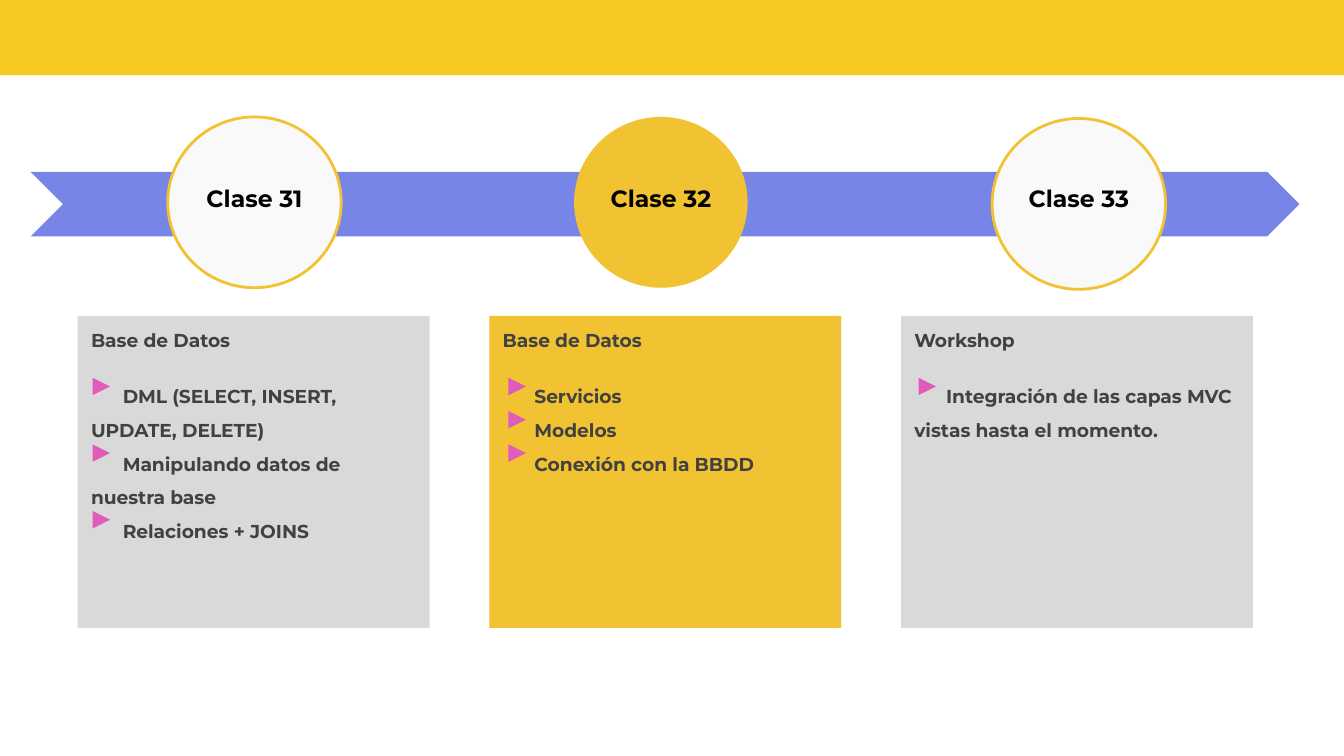
"""Build a three-class timeline slide with a topic card under each class."""
from dataclasses import dataclass

from lxml import etree
from pptx import Presentation
from pptx.dml.color import RGBColor
from pptx.enum import shapes, text
from pptx.oxml import ns
from pptx.util import Cm, Pt

STOPS = [
    {"name": "Clase 31", "mid": 4.81, "top": 2.21, "now": False, "mark": 0.28,
     "head": "Base de Datos",
     "items": ["DML (SELECT, INSERT,\vUPDATE, DELETE)",
               "Manipulando datos de\vnuestra base",
               "Relaciones + JOINS"]},
    {"name": "Clase 32", "mid": 12.49, "top": 2.21, "now": True, "mark": 0.36,
     "head": "Base de Datos",
     "items": ["Servicios", "Modelos", "Conexión con la BBDD"]},
    {"name": "Clase 33", "mid": 20.39, "top": 2.24, "now": False, "mark": 0.33,
     "head": "Workshop",
     "items": ["Integración de las capas MVC\vvistas hasta el momento."]},
]


@dataclass(frozen=True)
class Theme:
    """Colours, font and type sizes."""
    font: str = "Montserrat"
    band: str = "F8C823"
    arrow: str = "7685E6"
    gold: str = "F1C232"
    pale: str = "F9F9F9"
    card: str = "D9D9D9"
    mark: str = "E15BBA"
    ink: str = "000000"
    body: str = "414141"
    label: float = 12.6
    small: float = 10


LOOK = Theme()
KIND = shapes.MSO_SHAPE
CARD = {"left": 1.47, "step": 7.78, "top": 5.97, "wide": 6.65, "high": 5.9}
DISC = (3.28, 3.23)
LABEL = {"top": 3.23, "wide": 3.02, "high": 0.84}
MARK = {"top": 7.14, "size": 0.33, "line": 0.63}


def draw(slide, kind, box, fill, edge=None):
    """Add a flat shape, with an outline if an edge colour is given."""
    shape = slide.shapes.add_shape(kind, *map(Cm, box))
    shape.shadow.inherit = False
    shape.fill.solid()
    shape.fill.fore_color.rgb = RGBColor.from_string(fill)
    if edge:
        shape.line.color.rgb = RGBColor.from_string(edge)
        shape.line.width = Pt(1.5)
    else:
        shape.line.fill.background()
    return shape


def write(slide, holder, box, lines, size, ink, align):
    """Place a text holder in front and format its lines."""
    slide.shapes.element.append(holder.element)
    holder.left, holder.top, holder.width, holder.height = map(Cm, box)
    frame = holder.text_frame
    frame.word_wrap = True
    frame.auto_size = text.MSO_AUTO_SIZE.NONE
    frame.vertical_anchor = text.MSO_ANCHOR.TOP
    frame.margin_left = frame.margin_right = Cm(0.25)
    frame.margin_top = frame.margin_bottom = Cm(0.25)
    frame.text = "\n".join(lines)
    for para in frame.paragraphs:
        para.alignment = align
        para.space_before = para.space_after = Pt(0)
        props = para._p.get_or_add_pPr()
        props.set("marL", "0")
        props.set("indent", "0")
        etree.SubElement(props, ns.qn("a:buNone"))
        for run in para.runs:
            run.font.name = LOOK.font
            run.font.size = Pt(size)
            run.font.bold = True
            run.font.color.rgb = RGBColor.from_string(ink)
    return frame


def add_stop(slide, stop, col, title, body):
    """Draw one class: disc, label, card, list and markers."""
    wide, high = DISC
    draw(slide, KIND.OVAL, (stop["mid"] - wide / 2, stop["top"], wide, high),
         LOOK.gold if stop["now"] else LOOK.pale,
         None if stop["now"] else LOOK.gold)
    holder = title if stop["now"] else slide.shapes.add_textbox(0, 0, 0, 0)
    spot = (stop["mid"] - LABEL["wide"] / 2, LABEL["top"],
            LABEL["wide"], LABEL["high"])
    write(slide, holder, spot, [stop["name"]], LOOK.label, LOOK.ink,
          text.PP_ALIGN.CENTER)

    left = CARD["left"] + col * CARD["step"]
    box = (left, CARD["top"], CARD["wide"], CARD["high"])
    draw(slide, KIND.RECTANGLE, box, LOOK.gold if stop["now"] else LOOK.card)
    frame = write(slide, body, box, [stop["head"]] + stop["items"],
                  LOOK.small, LOOK.body, text.PP_ALIGN.LEFT)
    head, *items = frame.paragraphs
    head.space_after = Pt(12)
    row = 0
    for para, item in zip(items, stop["items"]):
        para.line_spacing = 1.5
        para._p.get_or_add_pPr().set("indent", str(Cm(0.6)))
        mark = draw(slide, KIND.ISOSCELES_TRIANGLE,
                    (left + stop["mark"], MARK["top"] + row * MARK["line"],
                     MARK["size"], MARK["size"]), LOOK.mark)
        mark.rotation = 90
        row += item.count("\v") + 1


def main():
    """Build and save the deck."""
    deck = Presentation()
    deck.slide_width, deck.slide_height = Cm(25.4), Cm(14.29)
    slide = deck.slides.add_slide(deck.slide_layouts[4])
    title, *bodies = slide.placeholders
    spare = bodies.pop()
    spare.element.getparent().remove(spare.element)

    draw(slide, KIND.RECTANGLE, (0, 0, 25.4, 1.42), LOOK.band)
    draw(slide, KIND.CHEVRON, (0.58, 3.25, 23.98, 1.22), LOOK.arrow)
    for col, (stop, body) in enumerate(zip(STOPS, bodies)):
        add_stop(slide, stop, col, title, body)
    deck.save("out.pptx")


if __name__ == "__main__":
    main()
